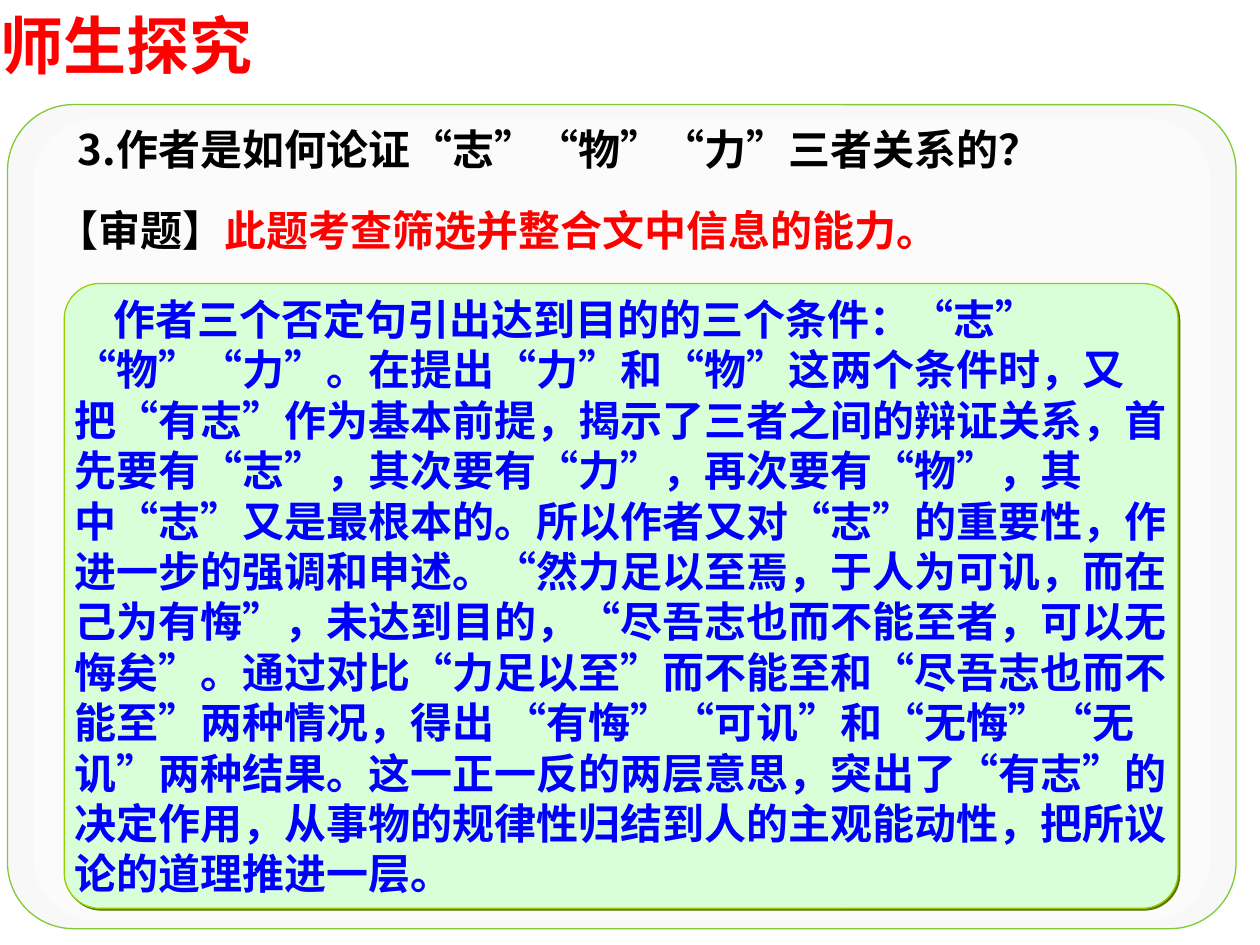
from lxml import etree
from pptx import Presentation
from pptx.dml.color import RGBColor
from pptx.enum import shapes, text
from pptx.oxml import ns
from pptx.util import Pt

COLOURS = {
    "red": "FF0000", "black": "000000", "blue": "0000FF",
    "grey": "F8F8F8", "white": "FFFFFF", "leaf": "80CB35",
    "mint": "D9FFD9", "lime": "99CC00", "olive": "5B7900", "shade": "808080",
}
CJK_FONT = "Noto Sans CJK SC"


def colour(name):
    return RGBColor.from_string(COLOURS[name])


def make_shadow(name, distance):
    """Return an effect list with a hard shadow to the lower right."""
    effects = etree.Element(ns.qn("a:effectLst"))
    shadow = etree.SubElement(effects, ns.qn("a:outerShdw"), blurRad="0",
                              dist=str(Pt(distance)), dir="2700000", algn="ctr")
    etree.SubElement(shadow, ns.qn("a:srgbClr"), val=COLOURS[name])
    return effects


def write(para, words, size=24, ink="black", font=CJK_FONT, shadow=False):
    """Add one bold span to a paragraph."""
    span = para.add_run()
    span.text = words
    span.font.size = Pt(size)
    span.font.bold = True
    span.font.color.rgb = colour(ink)
    properties = span.font._element
    if shadow:
        properties.append(make_shadow("shade", 1.4))
    span.font.name = font
    etree.SubElement(properties, ns.qn("a:ea"), typeface=CJK_FONT)
    para.line_spacing = Pt(size * 1.2)
    para.alignment = text.PP_ALIGN.LEFT


class Slide:
    """Holds the style and the page being built."""

    def __init__(self, deck):
        self.page = deck.slides.add_slide(deck.slide_layouts[5])

    def frame(self, shape, inset=(0, 0), anchor=text.MSO_ANCHOR.TOP):
        frame = shape.text_frame
        frame.word_wrap = True
        frame.auto_size = text.MSO_AUTO_SIZE.NONE
        frame.vertical_anchor = anchor
        frame.margin_left = frame.margin_right = Pt(inset[0])
        frame.margin_top = frame.margin_bottom = Pt(inset[1])
        return frame

    def title(self, words, left, top, width, height):
        title = self.page.shapes.title
        title.left, title.top = Pt(left), Pt(top)
        title.width, title.height = Pt(width), Pt(height)
        write(self.frame(title).paragraphs[0], words, size=36, ink="red",
              font="Arial", shadow=True)

    def panel(self, left, top, width, height, corner, fill, line=None, alpha=None):
        panel = self.page.shapes.add_shape(
            shapes.MSO_SHAPE.ROUNDED_RECTANGLE,
            Pt(left), Pt(top), Pt(width), Pt(height))
        panel.adjustments[0] = corner
        panel.shadow.inherit = False
        panel.fill.solid()
        panel.fill.fore_color.rgb = colour(fill)
        if alpha:
            tint = panel._element.spPr.find(".//" + ns.qn("a:srgbClr"))
            etree.SubElement(tint, ns.qn("a:alpha"), val=str(alpha * 1000))
        if line:
            panel.line.color.rgb = colour(line)
            panel.line.width = Pt(0.75)
        else:
            panel.line.fill.background()
        return panel

    def explanation(self, panel, paragraphs, first_indent):
        old = panel._element.spPr.find(ns.qn("a:effectLst"))
        old.getparent().replace(old, make_shadow("olive", 1.4))
        frame = self.frame(panel, anchor=text.MSO_ANCHOR.MIDDLE)
        for index, words in enumerate(paragraphs):
            para = frame.add_paragraph() if index else frame.paragraphs[0]
            write(para, words, ink="blue")
            if index == 0:
                para._p.get_or_add_pPr().set("indent", str(Pt(first_indent)))

    def label(self, spans, left, top, width, height, anchor=text.MSO_ANCHOR.TOP):
        box = self.page.shapes.add_textbox(Pt(left), Pt(top), Pt(width), Pt(height))
        para = self.frame(box, (7.2, 3.6), anchor).paragraphs[0]
        for words, ink in spans:
            write(para, words, ink=ink, shadow=True)


def main():
    deck = Presentation()
    deck.slide_width, deck.slide_height = Pt(720), Pt(540)
    slide = Slide(deck)

    # Heading
    slide.title("师生探究", 0, 3.6, 241, 43.2)

    # Background panels
    slide.panel(4.3, 59.8, 702, 470.9, 0.08, "grey", line="leaf")
    slide.panel(18.7, 67.7, 673.2, 458.6, 0.079, "white", alpha=50)

    # Question
    slide.label([("3.作者是如何论证“志”“物”“力”三者关系的？", "black")],
                37.4, 67, 568.8, 36, text.MSO_ANCHOR.MIDDLE)

    # Explanation
    panel = slide.panel(36.7, 162, 636.5, 357.1, 0.057, "mint", line="lime")
    slide.explanation(panel, [
        "作者三个否定句引出达到目的的三个条件：“志”",
        "“物”“力”。在提出“力”和“物”这两个条件时，又把“有志”作为基本前提，"
        "揭示了三者之间的辩证关系，首先要有“志”，其次要有“力”，再次要有“物”，"
        "其中“志”又是最根本的。所以作者又对“志”的重要性，作进一步的强调和申述。"
        "“然力足以至焉，于人为可讥，而在己为有悔”，未达到目的，"
        "“尽吾志也而不能至者，可以无悔矣”。通过对比“力足以至”而不能至和"
        "“尽吾志也而不能至”两种情况，得出 “有悔”“可讥”和“无悔”“无讥”两种结果。"
        "这一正一反的两层意思，突出了“有志”的决定作用，"
        "从事物的规律性归结到人的主观能动性，把所议论的道理推进一层。",
    ], first_indent=22)

    # Skill being tested
    slide.label([("【审题】", "black"),
                 ("此题考查筛选并整合文中信息的能力。", "red")],
                25.2, 113.5, 635, 36)

    deck.save("out.pptx")


if __name__ == "__main__":
    main()
